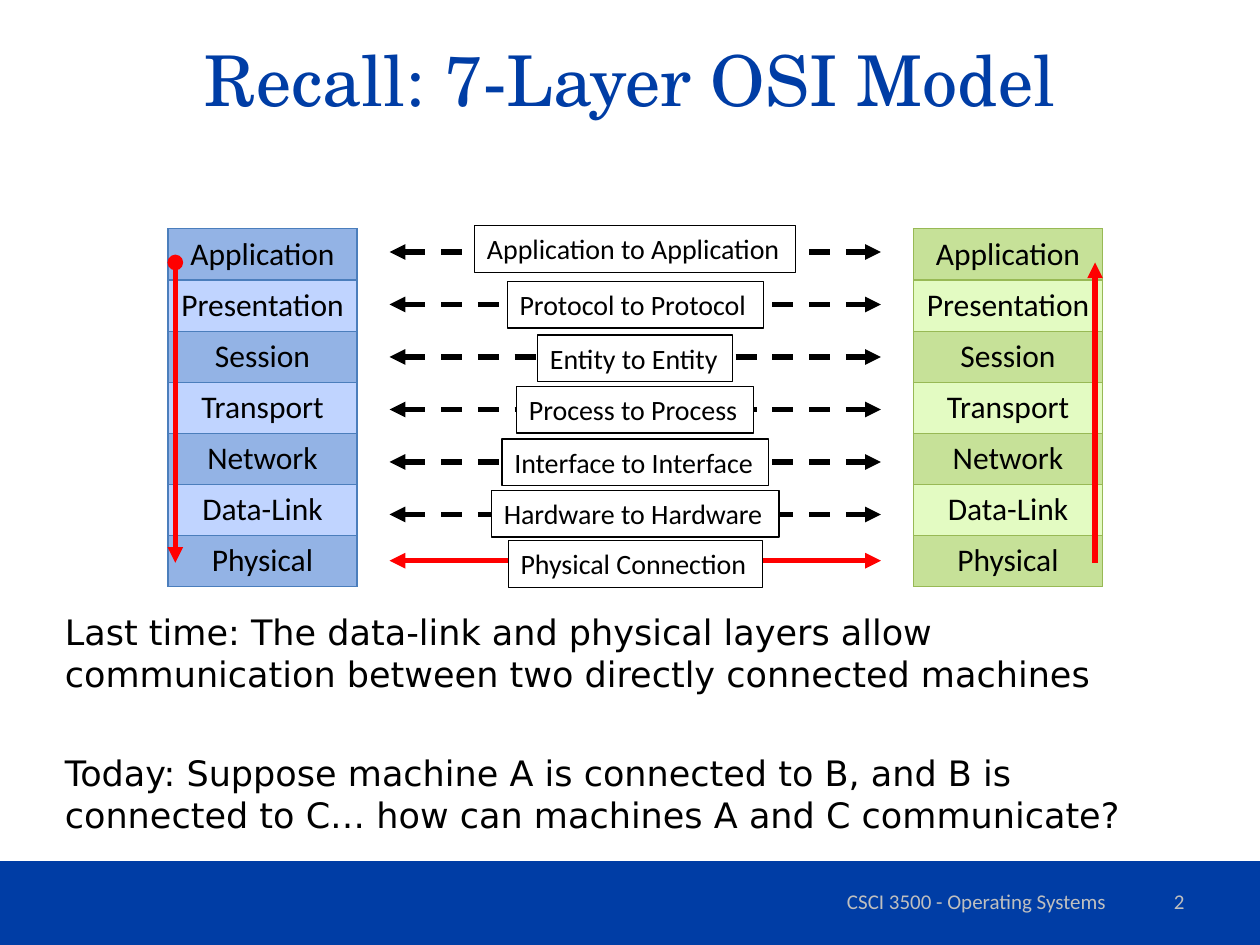
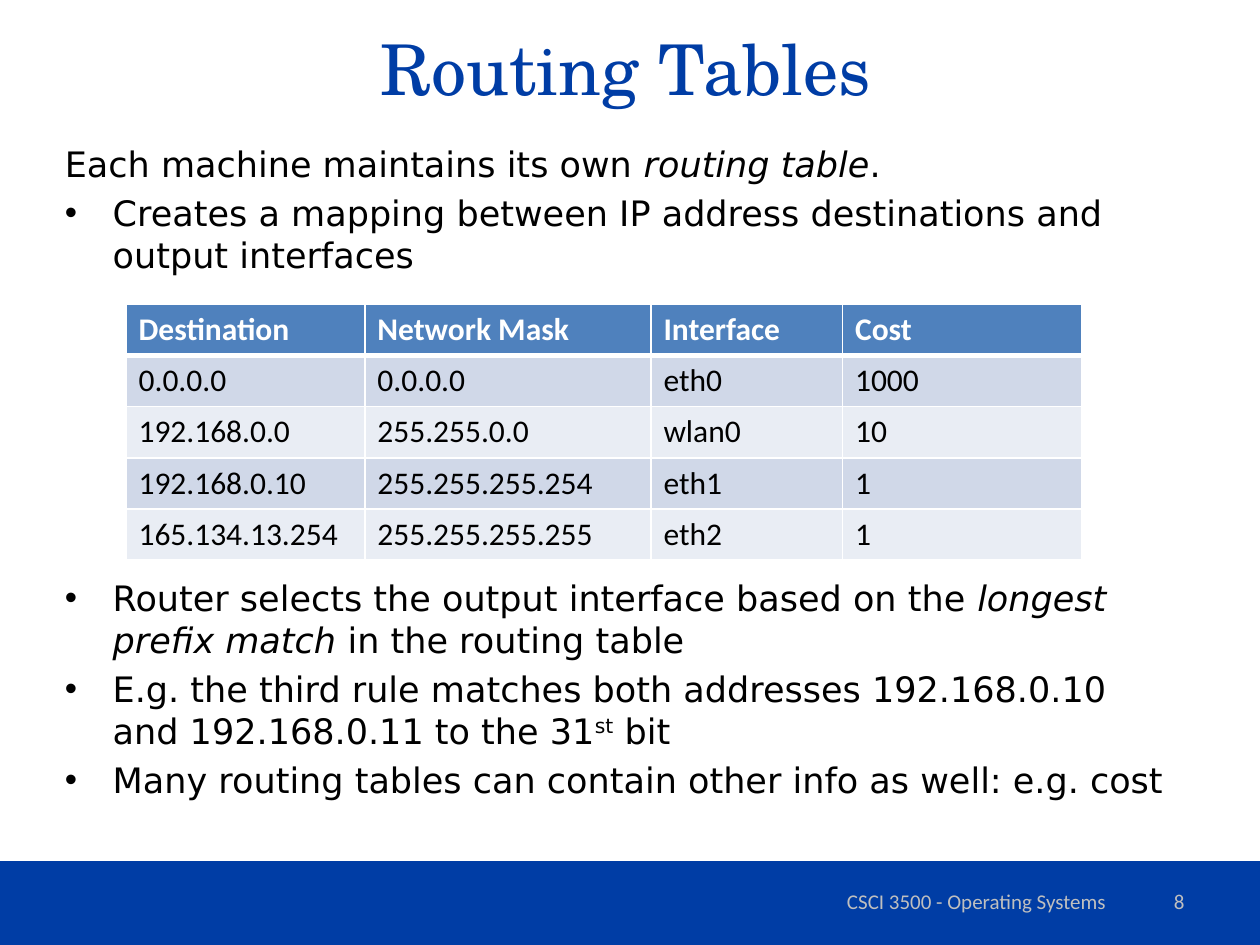
from pptx import Presentation
from pptx.dml.color import RGBColor
from pptx.enum.dml import MSO_LINE
from pptx.enum.shapes import MSO_CONNECTOR, MSO_SHAPE
from pptx.enum.text import MSO_ANCHOR, MSO_AUTO_SIZE, PP_ALIGN
from pptx.oxml.ns import qn
from pptx.util import Emu, Inches, Pt
from lxml import etree

LEFT, CENTER, RIGHT = PP_ALIGN.LEFT, PP_ALIGN.CENTER, PP_ALIGN.RIGHT
TOP, MIDDLE = MSO_ANCHOR.TOP, MSO_ANCHOR.MIDDLE
STRAIGHT, RECTANGLE, DASH = MSO_CONNECTOR.STRAIGHT, MSO_SHAPE.RECTANGLE, MSO_LINE.DASH

COLORS = {
    "brand": "003DA5", "footer": "BFBFBF", "black": "000000", "white": "FFFFFF",
    "red": "FF0000", "header": "4F81BD", "band": "D0D8E8", "pale": "E9EDF4",
    "blue": "93B3E5", "light blue": "C0D4FF", "blue edge": "4B7EBC",
    "green": "C6E198", "light green": "E3FBC2", "green edge": "98B955",
}
TITLE_FONT, BODY_FONT, LABEL_FONT = "TeX Gyre Schola", "DejaVu Sans", "Calibri"
COLUMNS, ROWS = 120, 90  # grid cells across and down the slide


def color(name):
    return RGBColor.from_string(COLORS[name])


class Deck:
    """Holds the shared style and the current slide; lengths are grid cells."""

    def __init__(self):
        self.presentation = Presentation()
        self.presentation.slide_width = Inches(10)
        self.presentation.slide_height = Inches(7.5)
        self.column = self.presentation.slide_width / COLUMNS
        self.row = self.presentation.slide_height / ROWS
        self.slide = None

    def box(self, left, top, width, height):
        return (Emu(round(left * self.column)), Emu(round(top * self.row)),
                Emu(round(width * self.column)), Emu(round(height * self.row)))

    def style(self, font, name, size, color_name, bold=False):
        font.name, font.size, font.bold = name, Pt(size), bold
        font.color.rgb = color(color_name)

    def add_slide(self, title, number, title_box):
        layout = self.presentation.slide_layouts[5]
        self.slide = self.presentation.slides.add_slide(layout)
        self.rectangle(0, 82, COLUMNS, 8, "brand")
        # Title
        shape = self.slide.shapes.title
        shape.left, shape.top, shape.width, shape.height = self.box(*title_box)
        self.fill_text(shape, title, TITLE_FONT, 40, "brand", CENTER, MIDDLE)
        # Footer
        self.text(74, 83.4, 38, 4.8, "CSCI 3500 - Operating Systems", CENTER)
        self.text(86, 83.4, 28, 4.8, str(number), RIGHT)

    def fill_text(self, shape, text, name, size, color_name, align, anchor, wrap=True):
        frame = shape.text_frame
        frame.text = text
        frame.word_wrap, frame.vertical_anchor = wrap, anchor
        frame.auto_size = MSO_AUTO_SIZE.NONE
        frame.paragraphs[0].alignment = align
        self.style(frame.paragraphs[0].runs[0].font, name, size, color_name)

    def rectangle(self, left, top, width, height, fill, line=None):
        shape = self.slide.shapes.add_shape(RECTANGLE, *self.box(left, top, width, height))
        shape.shadow.inherit = False
        shape.fill.solid()
        shape.fill.fore_color.rgb = color(fill)
        if line:
            shape.line.color.rgb = color(line)
            shape.line.width = Pt(0.75)
        else:
            shape.line.fill.background()
        return shape

    def text(self, left, top, width, height, text, align):
        shape = self.slide.shapes.add_textbox(*self.box(left, top, width, height))
        self.fill_text(shape, text, LABEL_FONT, 12, "footer", align, MIDDLE)

    def label(self, center, top, width, text):
        shape = self.rectangle(center - width / 2, top, width, 4.45, "white", "black")
        self.fill_text(shape, text, LABEL_FONT, 16, "black", LEFT, TOP, wrap=False)

    def body(self, top, height, paragraphs, gap=4):
        """Each paragraph is (bulleted, [(text, style), ...])."""
        shape = self.slide.shapes.add_textbox(*self.box(5, top, 108, height))
        frame = shape.text_frame
        frame.word_wrap = True
        for index, (bulleted, pieces) in enumerate(paragraphs):
            paragraph = frame.add_paragraph() if index else frame.paragraphs[0]
            if bulleted:
                properties = paragraph._p.get_or_add_pPr()
                properties.set("marL", str(Inches(0.38)))
                properties.set("indent", str(-Inches(0.38)))
                etree.SubElement(properties, qn("a:buFont")).set("typeface", "Arial")
                etree.SubElement(properties, qn("a:buChar")).set("char", "•")
            if index:
                paragraph.space_before = Pt(gap)
            for text, kind in pieces:
                run = paragraph.add_run()
                run.text = text
                self.style(run.font, BODY_FONT, 20, "black")
                if kind == "italic":
                    run.font.italic = True
                elif kind == "superscript":
                    run._r.get_or_add_rPr().set("baseline", "30000")

    def arrow(self, start, end, color_name, head=None, dashed=False):
        begin_x, begin_y, end_x, end_y = self.box(*start, *end)
        connector = self.slide.shapes.add_connector(STRAIGHT, begin_x, begin_y, end_x, end_y)
        etree.SubElement(connector._element.spPr, qn("a:effectLst"))
        connector.line.color.rgb = color(color_name)
        connector.line.width = Pt(3)
        if dashed:
            connector.line.dash_style = DASH
        line = connector.line._get_or_add_ln()
        for tag, kind in (("a:headEnd", head), ("a:tailEnd", "triangle")):
            if kind:
                etree.SubElement(line, qn(tag)).set("type", kind)

    def table(self, left, top, widths, row_height, rows, fills, edge, edge_width,
              align=LEFT, header=False):
        area = self.box(left, top, sum(widths), row_height * len(rows))
        table = self.slide.shapes.add_table(len(rows), len(widths), *area).table
        table.first_row, table.horz_banding = header, False
        for column, width in zip(table.columns, widths):
            column.width = Emu(round(width * self.column))
        for row_index, values in enumerate(rows):
            table.rows[row_index].height = Emu(round(row_height * self.row))
            is_header = header and row_index == 0
            for column_index, value in enumerate(values):
                cell = table.cell(row_index, column_index)
                cell.text = value
                paragraph = cell.text_frame.paragraphs[0]
                paragraph.alignment = align
                self.style(paragraph.runs[0].font, LABEL_FONT, 18,
                           "white" if is_header else "black", bold=is_header)
                top_width = 3 if header and row_index == 1 else edge_width
                bottom_width = 3 if is_header else edge_width
                self.borders(cell, edge, (edge_width, edge_width, top_width, bottom_width))
                cell.fill.solid()
                fill = "header" if is_header else fills[(row_index - header) % 2]
                cell.fill.fore_color.rgb = color(fill)

    def borders(self, cell, edge, widths):
        properties = cell._tc.get_or_add_tcPr()
        for side, width in zip("LRTB", widths):
            line = etree.SubElement(properties, qn("a:ln" + side), w=str(Pt(width)))
            fill = etree.SubElement(line, qn("a:solidFill"))
            etree.SubElement(fill, qn("a:srgbClr")).set("val", COLORS[edge])


def osi_model(deck):
    deck.add_slide("Recall: 7-Layer OSI Model", 2, (6, 0, 108, 15))

    # Layer stacks of both machines
    layers = ["Application", "Presentation", "Session", "Transport",
              "Network", "Data-Link", "Physical"]
    for left, hue in ((16, "blue"), (87, "green")):
        deck.table(left, 21.8, [18], 4.87, [[layer] for layer in layers],
                   (hue, "light " + hue), hue + " edge", 0.75, CENTER)

    # Links between matching layers: label, top, width
    links = [("Application to Application", 21.5, 30.6), ("Protocol to Protocol", 26.8, 24.4),
             ("Entity to Entity", 31.9, 18.6), ("Process to Process", 36.8, 22.6),
             ("Interface to Interface", 41.8, 25.4), ("Hardware to Hardware", 46.7, 27.4),
             ("Physical Connection", 51.5, 24.2)]
    for index in range(len(links)):
        physical = index == len(links) - 1
        height = 53.4 if physical else 24 + 5 * index
        deck.arrow((37.1, height), (83.9, height), "red" if physical else "black",
                   head="triangle", dashed=not physical)
    for text, top, width in links:
        deck.label(60.5, top, width, text)

    # Path down one stack and up the other
    deck.arrow((16.7, 25), (16.7, 53.6), "red", head="oval")
    deck.arrow((104.3, 53.6), (104.3, 25), "red")

    deck.body(57.6, 23, [
        (False, [("Last time: The data-link and physical layers allow communication "
                  "between two directly connected machines", None)]),
        (False, [("Today: Suppose machine A is connected to B, and B is connected to C… "
                  "how can machines A and C communicate?", None)]),
    ], gap=32)


def routing_tables(deck):
    deck.add_slide("Routing Tables", 8, (5.6, 0, 108, 12.8))

    deck.body(13, 14, [
        (False, [("Each machine maintains its own ", None), ("routing table", "italic"),
                 (".", None)]),
        (True, [("Creates a mapping between IP address destinations and output interfaces",
                 None)]),
    ])

    deck.table(12, 29, [22.75, 27.25, 18.25, 22.75], 4.87, [
        ["Destination", "Network Mask", "Interface", "Cost"],
        ["0.0.0.0", "0.0.0.0", "eth0", "1000"],
        ["192.168.0.0", "255.255.0.0", "wlan0", "10"],
        ["192.168.0.10", "255.255.255.254", "eth1", "1"],
        ["165.134.13.254", "255.255.255.255", "eth2", "1"],
    ], ("band", "pale"), "white", 1, header=True)

    deck.body(54.3, 24, [
        (True, [("Router selects the output interface based on the ", None),
                ("longest prefix match", "italic"), (" in the routing table", None)]),
        (True, [("E.g. the third rule matches both addresses 192.168.0.10 and "
                 "192.168.0.11 to the 31", None), ("st", "superscript"), (" bit", None)]),
        (True, [("Many routing tables can contain other info as well: e.g. cost", None)]),
    ])


def main():
    deck = Deck()
    osi_model(deck)
    routing_tables(deck)
    deck.presentation.save("out.pptx")


if __name__ == "__main__":
    main()
